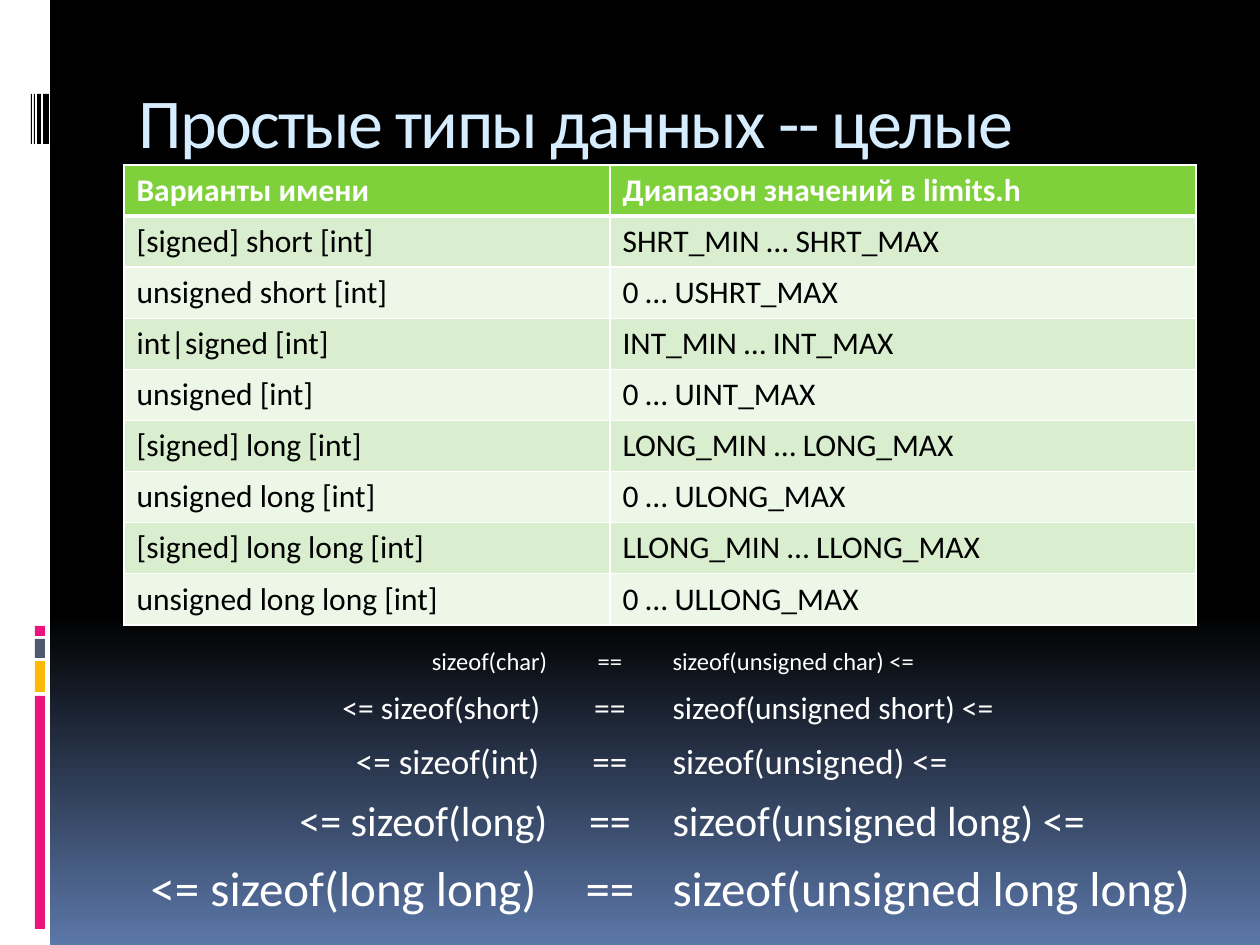
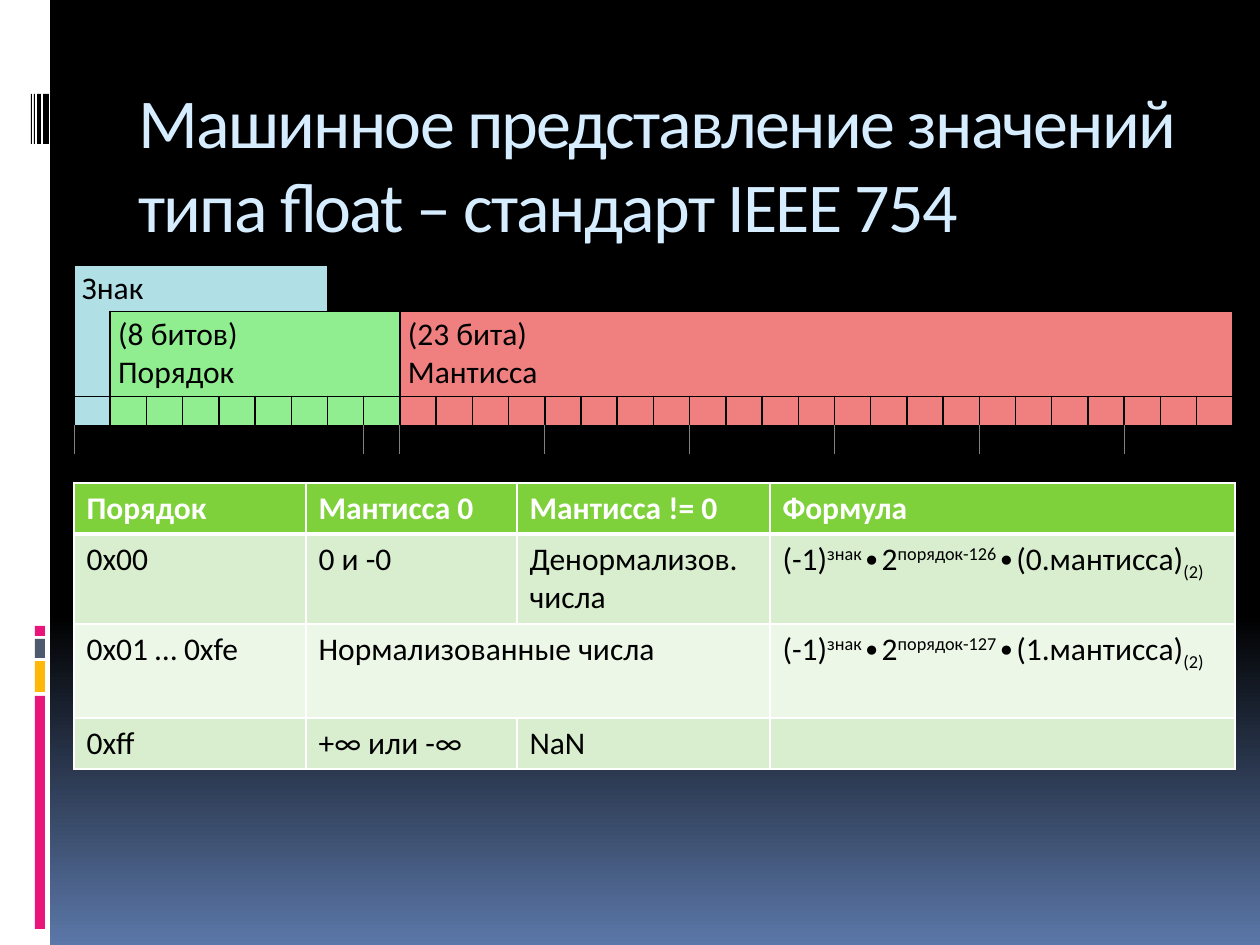
from copy import deepcopy
from lxml import etree
from pptx import Presentation, util as u
from pptx.dml.color import RGBColor
from pptx.enum import shapes, text as tx
from pptx.oxml import ns

PX = 914400 / 126
FACE = "Calibri"
BLACK, WHITE, SKY = "000000", "FFFFFF", "D6ECFF"
HEAD, BANDS = "7FD13B", ("D8EECE", "ECF7E8")
SIGN, ORDER, FRACT, TICK = "B0E0E6", "90EE90", "F08080", "808080"
PLAIN = "{2D5ABB26-0587-4C30-8999-92F81FD0307C}"
LEFT, MID, RIGHT = tx.PP_ALIGN.LEFT, tx.PP_ALIGN.CENTER, tx.PP_ALIGN.RIGHT

# left, top, width, height, colour
TRIM = [
    (0, 0, 50, 945, WHITE),
    (35, 696, 10, 233, "EA157A"),
    (35, 661, 10, 31, "FEB80A"),
    (35, 639, 10, 19, "4E5B6F"),
    (35, 626, 10, 10, "EA157A"),
    (43, 94, 6, 50, BLACK),
    (37, 94, 4, 50, BLACK),
    (34, 94, 1, 50, BLACK),
    (31, 94, 1, 50, BLACK),
]

INTS = [
    ("Варианты имени", "Диапазон значений в limits.h"),
    ("[signed] short [int]", "SHRT_MIN … SHRT_MAX"),
    ("unsigned short [int]", "0 … USHRT_MAX"),
    ("int|signed [int]", "INT_MIN … INT_MAX"),
    ("unsigned [int]", "0 … UINT_MAX"),
    ("[signed] long [int]", "LONG_MIN … LONG_MAX"),
    ("unsigned long [int]", "0 … ULONG_MAX"),
    ("[signed] long long [int]", "LLONG_MIN … LLONG_MAX"),
    ("unsigned long long [int]", "0 … ULLONG_MAX"),
]

SIZES = [
    (14, "sizeof(char)", "sizeof(unsigned char) <="),
    (18, "<= sizeof(short) ", "sizeof(unsigned short) <="),
    (20, "<= sizeof(int) ", "sizeof(unsigned) <="),
    (24, "<= sizeof(long)", "sizeof(unsigned long) <="),
    (28, "<= sizeof(long long) ", "sizeof(unsigned long long)"),
]

BITS = [(1, SIGN), (8, ORDER), (23, FRACT)]
SPANS = [4, 4, 1, 4, 4, 4, 4, 4, 3]
MARKS = (0, 8, 13, 21, 29)


def formula(bias, lead):
    return [("(-1)", 0), ("знак", 30), ("∙2", 0), (f"порядок-{bias}", 30),
            (f"∙({lead}.мантисса)", 0), ("(2)", -25)]


# a pair (text, span) covers several columns
FLOATS = [
    ("Порядок", "Мантисса 0", "Мантисса != 0", "Формула"),
    ("0x00", "0 и -0", "Денормализов. числа", formula(126, 0)),
    ("0x01 … 0xfe", ("Нормализованные числа", 2), formula(127, 1)),
    ("0xff", "+∞ или -∞", "NaN", ""),
]


def px(n):
    return u.Emu(round(n * PX))


def rgb(code):
    return RGBColor.from_string(code)


def put(frame, words, size=18, color=BLACK, bold=False, align=LEFT, space=0):
    """Write a string, or a list of (text, baseline shift in percent)."""
    para = frame.paragraphs[0]
    para.alignment = align
    if not words:
        para._p.get_or_add_endParaRPr().set("sz", "800")
        return
    for part, base in [(words, 0)] if isinstance(words, str) else words:
        for i, line in enumerate(part.split("\n")):
            if i:
                para.add_line_break()
            run = para.add_run()
            run.text = line
            font = run.font
            font.name, font.size, font.bold = FACE, u.Pt(size), bold
            font.color.rgb = rgb(color)
            if base:
                font._element.set("baseline", str(base * 1000))
            if space:
                font._element.set("spc", str(space * 100))


def rule(cell, edges):
    """Draw cell borders; edges maps a side (L, R, T, B) to colour and points."""
    props = cell._tc.get_or_add_tcPr()
    for i, side in enumerate(s for s in "LRTB" if s in edges):
        color, width = edges[side]
        line = etree.Element(ns.qn("a:ln" + side), w=str(u.Pt(width)))
        fill = etree.SubElement(line, ns.qn("a:solidFill"))
        etree.SubElement(fill, ns.qn("a:srgbClr"), val=color)
        props.insert(i, line)


def grid(slide, left, top, cols, rows, lines):
    """Add a table whose lines hold one dict for each cell."""
    table = slide.shapes.add_table(len(rows), len(cols), px(left), px(top),
                                   px(sum(cols)), px(sum(rows))).table
    table.first_row = table.horz_banding = False
    table._tbl.tblPr[0].text = PLAIN
    for col, width in zip(table.columns, cols):
        col.width = px(width)
    for row, height in zip(table.rows, rows):
        row.height = px(height)
    for r, line in enumerate(lines):
        c = 0
        for item in line:
            fmt = dict(item)
            span, fill = fmt.pop("span", 1), fmt.pop("fill", None)
            edges, pad = fmt.pop("edges", {}), fmt.pop("pad", None)
            cell = table.cell(r, c)
            if span > 1:
                cell.merge(table.cell(r, c + span - 1))
            if pad:
                cell.margin_left = cell.margin_right = px(pad[0])
                cell.margin_top = cell.margin_bottom = px(pad[1])
                cell.vertical_anchor = tx.MSO_ANCHOR.MIDDLE
            put(cell.text_frame, fmt.pop("words", ""), **fmt)
            if fill:
                cell.fill.solid()
                cell.fill.fore_color.rgb = rgb(fill)
            else:
                cell.fill.background()
            rule(cell, edges)
            c += span


def banded(slide, left, top, cols, rows, data):
    thin = (WHITE, 1)
    lines = []
    for r, row in enumerate(data):
        if r:
            look = dict(fill=BANDS[(r - 1) % 2], edges=dict(L=thin, R=thin, B=thin))
        else:
            look = dict(fill=HEAD, color=WHITE, bold=True,
                        edges=dict(L=thin, R=thin, T=thin, B=(WHITE, 3)))
        pairs = [v if isinstance(v, tuple) else (v, 1) for v in row]
        lines.append([dict(words=w, span=n, **look) for w, n in pairs])
    grid(slide, left, top, cols, rows, lines)


def bits(slide):
    """Show the 32 bits of a float with the names of their fields."""
    dark = (BLACK, 1)
    box = dict(pad=(8, 4), edges=dict.fromkeys("LRTB", dark))
    tag = dict(words="Знак", fill=SIGN, span=7, pad=(8, 4),
               edges=dict.fromkeys("LRT", dark))
    stem = dict(fill=SIGN, pad=(8, 4), edges=dict.fromkeys("LRB", dark))
    names = [stem, dict(words="(8 битов)\nПорядок", fill=ORDER, span=8, **box),
             dict(words="(23 бита)\nМантисса", fill=FRACT, span=23, **box)]
    cells = [dict(fill=color, **box) for n, color in BITS for _ in range(n)]
    ticks = []
    for i, span in enumerate(SPANS):
        edges = dict(T=dark)
        if sum(SPANS[:i]) in MARKS:
            edges["L"] = (TICK, 0.6)
        ticks.append(dict(span=span, pad=(8, 4), edges=edges))
    blank = dict(pad=(8, 4))
    grid(slide, 74, 265, [1160 / 32] * 32, [45, 85, 29, 29],
         [[tag] + [blank] * 25, names, cells, ticks])


def backdrop(master):
    fill = master.background.fill
    fill.gradient()
    fill.gradient_angle = 270
    first, last = fill.gradient_stops
    first.color.rgb, first.position = rgb(BLACK), 0
    last.color.rgb, last.position = rgb("5B77A8"), 1
    middle = deepcopy(first._gs)
    middle.set("pos", "65000")
    first._gs.addnext(middle)


def page(deck, name):
    slide = deck.slides.add_slide(deck.slide_layouts[5])
    for left, top, width, height, color in TRIM:
        bar = slide.shapes.add_shape(shapes.MSO_SHAPE.RECTANGLE, px(left), px(top),
                                     px(width), px(height))
        bar.shadow.inherit = False
        bar.fill.solid()
        bar.fill.fore_color.rgb = rgb(color)
        bar.line.fill.background()
    title = slide.shapes.title
    title.left, title.top, title.width, title.height = map(px, (126, 72, 1071, 126))
    frame = title.text_frame
    frame.word_wrap = True
    frame.auto_size = tx.MSO_AUTO_SIZE.NONE
    frame.vertical_anchor = tx.MSO_ANCHOR.TOP
    put(frame, name, size=40, color=SKY, space=-1)
    return slide


def main():
    deck = Presentation()
    deck.slide_width, deck.slide_height = px(1260), px(945)
    backdrop(deck.slide_master)

    slide = page(deck, "Простые типы данных -- целые")
    banded(slide, 124, 165, [486, 586], [51] * len(INTS), INTS)
    lines = [[dict(words=w, size=size, color=WHITE, align=a)
              for w, a in ((one, RIGHT), ("==", MID), (two, LEFT))]
             for size, one, two in SIZES]
    grid(slide, 64, 641, [496, 100, 595], [38] * len(SIZES), lines)

    slide = page(deck, "Машинное представление значений типа float – стандарт IEEE 754")
    bits(slide)
    banded(slide, 74, 483, [232, 211, 253, 465], [51, 90, 94, 51], FLOATS)

    deck.save("out.pptx")


if __name__ == "__main__":
    main()
